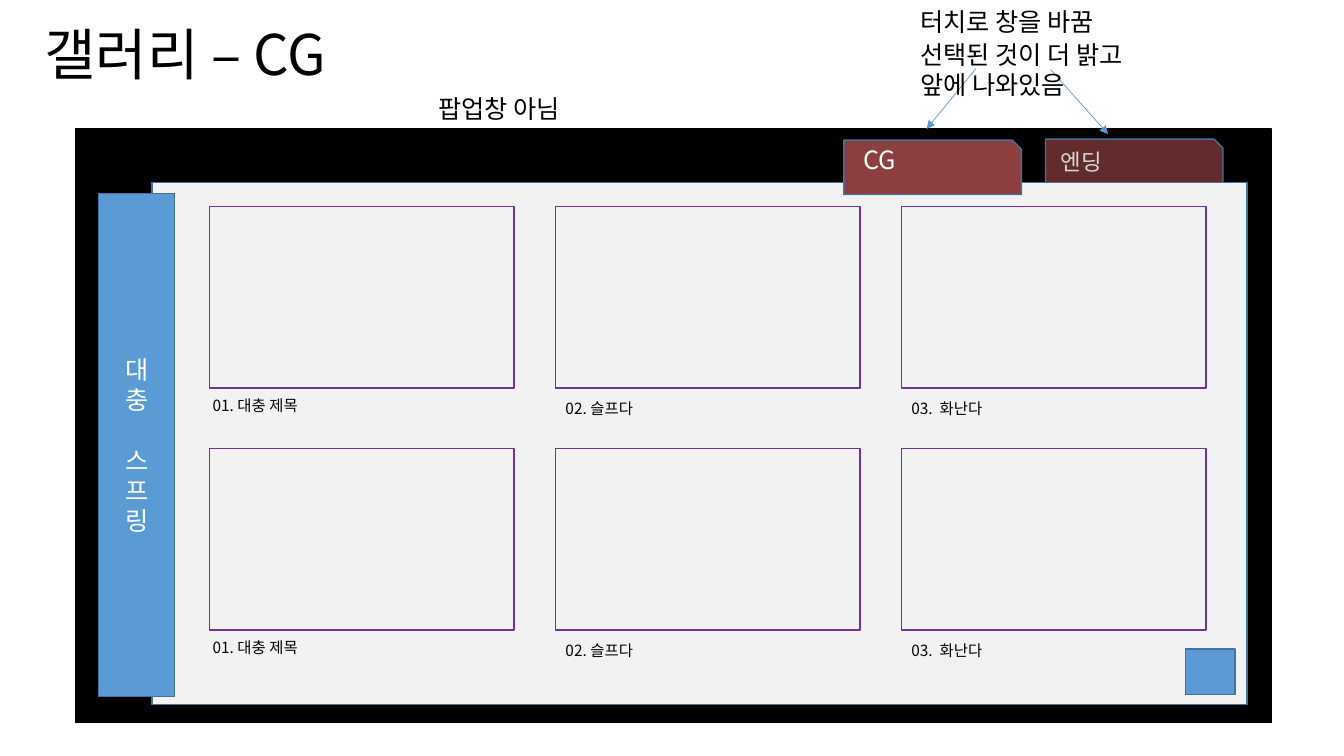
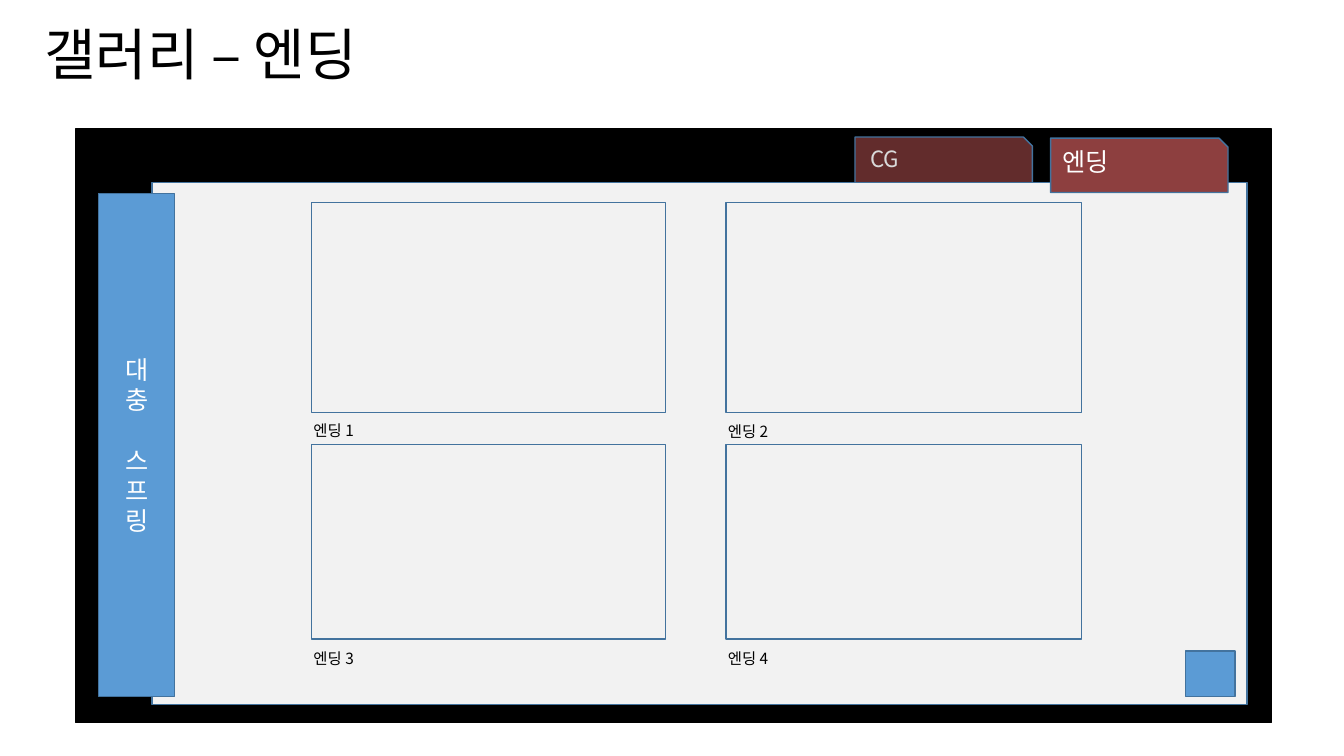
"""Builds two wireframe slides of a gallery screen: the CG tab and the ending tab."""
import pptx
import pptx.dml.color
import pptx.enum.shapes
import pptx.enum.text
import pptx.oxml
import pptx.oxml.ns
import pptx.util
from lxml import etree

Inches = pptx.util.Inches
Pt = pptx.util.Pt
SHAPES = pptx.enum.shapes.MSO_SHAPE
ALIGN = pptx.enum.text.PP_ALIGN
ANCHOR = pptx.enum.text.MSO_ANCHOR

FONT = "Noto Sans CJK KR"
COLORS = {
    "black": "000000", "white": "FFFFFF", "panel": "F2F2F2", "blue": "5B9BD5",
    "edge": "43739E", "purple": "7030A0", "tab_on": "8D3F3F", "tab_off": "622C2C",
    "muted": "D9D9D9",
}

SCREEN = (0.75, 1.28, 11.86, 5.89)
PANEL = (1.51, 1.81, 10.86, 5.18)
SPINE = (0.98, 1.92, 0.75, 4.99)
TITLE = (0.34, 0.14, 10.87, 0.77)
TAB_SIZE = (1.76, 0.54)
SPINE_WORDS = ["대충", "스프링"]

CG_CAPTIONS = [("01. 대충 제목", -0.07, 0.03), ("02. 슬프다", 0, 0.06), ("03.  화난다", 0, 0.06)]
ENDING_CAPTIONS = [[("엔딩 1", -0.08, 0.04), ("엔딩 2", -0.08, 0.05)],
                   [("엔딩 3", -0.08, 0.05), ("엔딩 4", -0.08, 0.05)]]

GALLERIES = [
    {
        "title": "갤러리 – CG",
        "tab_off": {"text": "엔딩", "at": (10.37, 1.38), "inset": (0.15, 0.04)},
        "tab_on": {"text": "CG", "at": (8.37, 1.39), "inset": (0.19, 0)},
        "columns": [(2.08 + 3.43 * column, 3.02) for column in range(3)],
        "rows": [(2.05 + 2.4 * row, 1.8) for row in range(2)],
        "captions": [CG_CAPTIONS, CG_CAPTIONS],
        "frame_line": "purple",
        "button_top": 6.44,
        "notes": [
            (["터치로 창을 바꿈"], (9.03, 0.01, 3.9, 0.4)),
            (["선택된 것이 더 밝고", "앞에 나와있음"], (9.03, 0.34, 3.17, 0.71)),
            (["팝업창 아님"], (4.25, 0.88, 1.97, 0.4)),
        ],
        "arrows": [(9.68, 0.68, 9.19, 1.28), (10.42, 0.69, 10.99, 1.33)],
    },
    {
        "title": "갤러리 – 엔딩",
        "tab_off": {"text": "CG", "at": (8.48, 1.36), "inset": (0.15, 0.04)},
        "tab_on": {"text": "엔딩", "at": (10.42, 1.37), "inset": (0.12, 0.04)},
        "columns": [(3.09, 3.51), (7.2, 3.53)],
        "rows": [(2.01, 2.08), (4.41, 1.93)],
        "captions": ENDING_CAPTIONS,
        "frame_line": "edge",
        "button_top": 6.46,
        "notes": [],
        "arrows": [],
    },
]


def rgb(name):
    """Return the named colour."""
    return pptx.dml.color.RGBColor.from_string(COLORS[name])


def write_text(shape, lines, size=18, color="black", align=ALIGN.LEFT, anchor=ANCHOR.TOP,
               inset=(0.1, 0.05), gap_before=()):
    """Write lines as paragraphs, with a line-high gap before the given indexes."""
    frame = shape.text_frame
    frame.word_wrap = True
    frame.auto_size = pptx.enum.text.MSO_AUTO_SIZE.NONE
    frame.vertical_anchor = anchor
    frame.margin_left, frame.margin_top = (Inches(value) for value in inset)
    for index, line in enumerate(lines):
        paragraph = frame.paragraphs[0] if index == 0 else frame.add_paragraph()
        paragraph.alignment = align
        paragraph.space_before = Pt(size * 1.2 if index in gap_before else 0)
        run = paragraph.add_run()
        run.text = line
        run.font.size = Pt(size)
        run.font.color.rgb = rgb(color)
        run.font.name = FONT
        east_asian = etree.SubElement(run.font._element, pptx.oxml.ns.qn("a:ea"))
        east_asian.set("typeface", FONT)


def add_box(slide, box, fill=None, line="edge", kind=SHAPES.RECTANGLE):
    """Add a preset shape with a one-point outline."""
    shape = slide.shapes.add_shape(kind, *(Inches(value) for value in box))
    shape.shadow.inherit = False
    if fill:
        shape.fill.solid()
        shape.fill.fore_color.rgb = rgb(fill)
    else:
        shape.fill.background()
    shape.line.color.rgb = rgb(line)
    shape.line.width = Pt(1)
    return shape


def add_label(slide, lines, box, **formats):
    """Add a text box."""
    label = slide.shapes.add_textbox(*(Inches(value) for value in box))
    write_text(label, lines, **formats)


def add_tab(slide, tab, fill, **formats):
    """Add a folder tab with its name."""
    shape = add_box(slide, tab["at"] + TAB_SIZE, fill, kind=SHAPES.SNIP_1_RECTANGLE)
    write_text(shape, [tab["text"]], inset=tab["inset"], **formats)


def add_arrow(slide, ends):
    """Add a thin straight arrow."""
    arrow = slide.shapes.add_connector(pptx.enum.shapes.MSO_CONNECTOR.STRAIGHT,
                                       *(Inches(value) for value in ends))
    arrow.line.color.rgb = rgb("blue")
    arrow.line.width = Pt(0.5)
    tail = etree.SubElement(arrow.line._get_or_add_ln(), pptx.oxml.ns.qn("a:tailEnd"))
    tail.set("type", "triangle")
    etree.SubElement(arrow._element.spPr, pptx.oxml.ns.qn("a:effectLst"))


def add_title(slide, text):
    """Place and format the title placeholder."""
    title = slide.shapes.title
    title.left, title.top, title.width, title.height = (Inches(value) for value in TITLE)
    write_text(title, [text], size=40)


def add_frames(slide, gallery):
    """Add the grid of empty frames with captions."""
    for (top, height), captions in zip(gallery["rows"], gallery["captions"]):
        for (left, width), (text, shift, drop) in zip(gallery["columns"], captions):
            add_box(slide, (left, top, width, height), line=gallery["frame_line"])
            add_label(slide, [text], (left + shift, top + height + drop, 2.12, 0.31), size=11)


def add_gallery(presentation, gallery):
    """Add one gallery slide."""
    slide = presentation.slides.add_slide(presentation.slide_layouts[5])
    add_title(slide, gallery["title"])
    add_box(slide, SCREEN, "black", line="black")
    add_tab(slide, gallery["tab_off"], "tab_off", size=16, color="muted")
    add_box(slide, PANEL, "panel")
    add_tab(slide, gallery["tab_on"], "tab_on", color="white")
    spine = add_box(slide, SPINE, "blue")
    write_text(spine, list("".join(SPINE_WORDS)), color="white", align=ALIGN.CENTER,
               anchor=ANCHOR.MIDDLE, gap_before=[len(SPINE_WORDS[0])])
    add_frames(slide, gallery)
    for ends in gallery["arrows"]:
        add_arrow(slide, ends)
    for lines, box in gallery["notes"]:
        add_label(slide, lines, box)
    add_box(slide, (11.76, gallery["button_top"], 0.49, 0.45), "blue")


def main():
    """Build and save the presentation."""
    presentation = pptx.Presentation()
    presentation.slide_width = Inches(13.33)
    presentation.slide_height = Inches(7.5)
    for gallery in GALLERIES:
        add_gallery(presentation, gallery)
    presentation.save("out.pptx")


if __name__ == "__main__":
    main()
